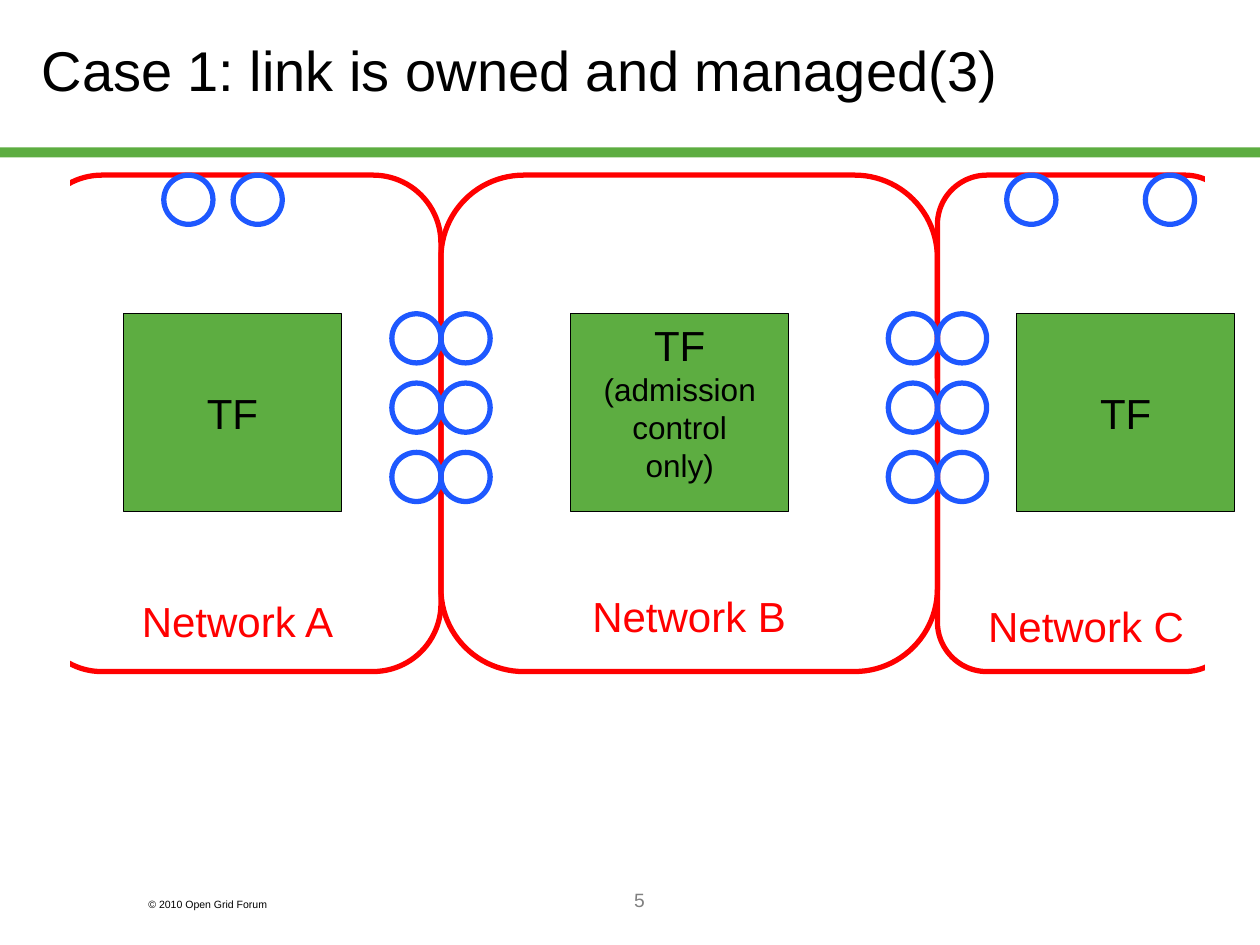
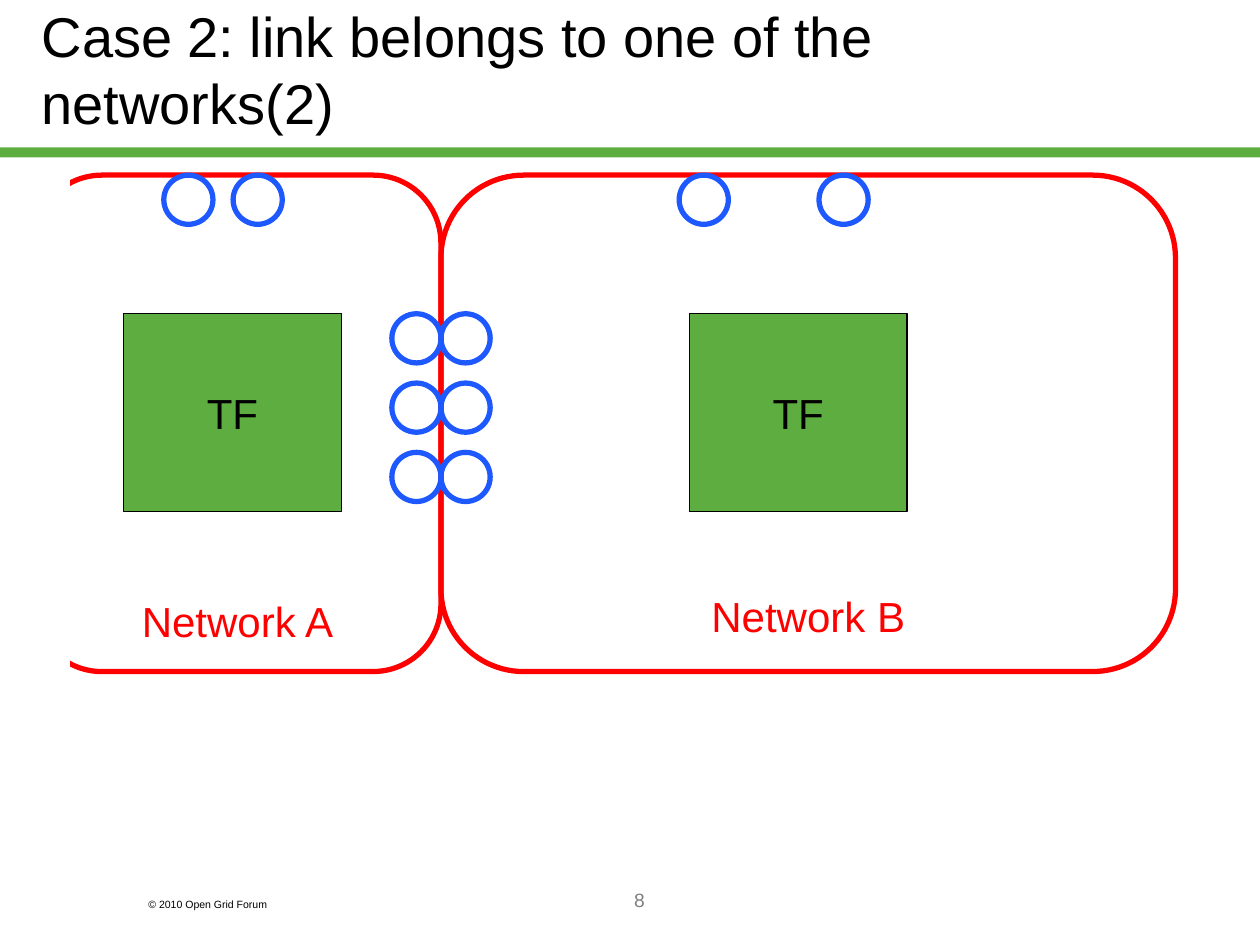
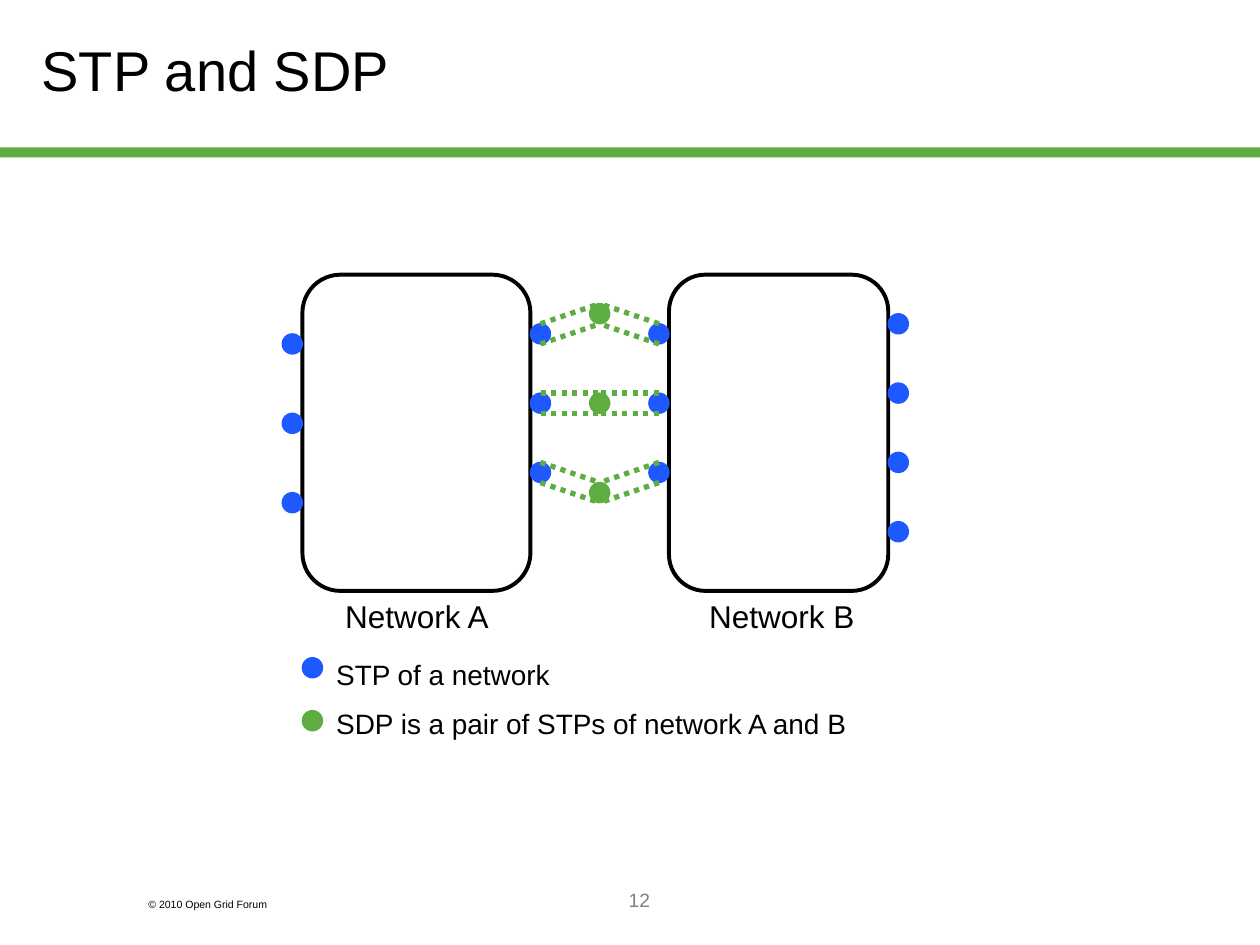
from pptx import Presentation
from pptx import util as u
from pptx.dml.color import RGBColor
from pptx.enum import dml, shapes, text
from pptx.oxml.ns import qn
from lxml import etree

COLORS = {
    "ink": "000000",
    "paper": "FFFFFF",
    "green": "5DAD41",
    "blue": "1E58FF",
    "red": "FF0000",
    "gray": "808080",
}
FONT = "Arial"
TITLE_AREA = (0.23, 0, 8.5, 1.09)

NETWORK_TOP, NETWORK_HEIGHT = 1.39, 3.94
PORT = 0.39
PORT_TOP, PORT_STEP = 2.49, 0.55
TF_TOP, TF_WIDTH, TF_HEIGHT = 2.49, 1.73, 1.57

DOT = 0.16
STP_A, SDP, STP_B = 4.21, 4.68, 5.15


def color(name):
    return RGBColor.from_string(COLORS[name])


def inches(*lengths):
    return [u.Inches(length) for length in lengths]


def style(paragraph, size, ink="ink", align=text.PP_ALIGN.LEFT):
    paragraph.alignment = align
    paragraph.font.size = u.Pt(size)
    paragraph.font.name = FONT
    paragraph.font.color.rgb = color(ink)


def write(frame, lines, ink="ink", align=text.PP_ALIGN.CENTER, anchor=text.MSO_ANCHOR.MIDDLE):
    frame.word_wrap = True
    frame.vertical_anchor = anchor
    for index, (words, size) in enumerate(lines):
        paragraph = frame.add_paragraph() if index else frame.paragraphs[0]
        paragraph.text = words
        style(paragraph, size, ink, align)


def add_label(slide, area, words, size, ink="ink", align=text.PP_ALIGN.LEFT, wrap=False):
    label = slide.shapes.add_textbox(*inches(*area))
    write(label.text_frame, [(words, size)], ink, align, text.MSO_ANCHOR.TOP)
    label.text_frame.word_wrap = wrap
    return label


def add_figure(slide, kind, area, fill=None, line=None, width=0.75):
    figure = slide.shapes.add_shape(kind, *inches(*area))
    figure.shadow.inherit = False
    if fill:
        figure.fill.solid()
        figure.fill.fore_color.rgb = color(fill)
    else:
        figure.fill.background()
    if line:
        figure.line.color.rgb = color(line)
        figure.line.width = u.Pt(width)
    else:
        figure.line.fill.background()
    return figure


def add_network(slide, name, left, width):
    network = add_figure(slide, shapes.MSO_SHAPE.ROUNDED_RECTANGLE,
                         (left, NETWORK_TOP, width, NETWORK_HEIGHT), line="red", width=3)
    write(network.text_frame, [(name, 24)], "red", anchor=text.MSO_ANCHOR.BOTTOM)


def add_open_edge(slide, left):
    add_figure(slide, shapes.MSO_SHAPE.RECTANGLE, (left, NETWORK_TOP - 0.08, 0.35, 4.49),
               "paper", "paper")


def add_port(slide, left, top=NETWORK_TOP):
    add_figure(slide, shapes.MSO_SHAPE.OVAL, (left, top, PORT, PORT), line="blue", width=3)


def add_border_ports(slide, border):
    for left in (border, border - PORT):
        for row in range(3):
            add_port(slide, left, PORT_TOP + row * PORT_STEP)


def add_tf(slide, left, remarks=()):
    tf = add_figure(slide, shapes.MSO_SHAPE.RECTANGLE, (left, TF_TOP, TF_WIDTH, TF_HEIGHT),
                    "green", "ink")
    anchor = text.MSO_ANCHOR.TOP if remarks else text.MSO_ANCHOR.MIDDLE
    write(tf.text_frame, [("TF", 24)] + [(remark, 18) for remark in remarks], anchor=anchor)


def add_dot(slide, left, top, fill):
    add_figure(slide, shapes.MSO_SHAPE.OVAL, (left, top, DOT, DOT), fill, fill)


def add_dotted_line(slide, start, end):
    dotted = slide.shapes.add_connector(shapes.MSO_CONNECTOR.STRAIGHT, *inches(*start, *end))
    dotted.line.color.rgb = color("green")
    dotted.line.width = u.Pt(3)
    dotted.line.dash_style = dml.MSO_LINE.ROUND_DOT
    etree.SubElement(dotted.element.spPr, qn("a:effectLst"))


def add_stp_pair(slide, stp_top, sdp_top):
    add_dot(slide, SDP, sdp_top, "green")
    for left in (STP_A, STP_B):
        add_dot(slide, left, stp_top, "blue")
    middle = SDP + DOT / 2
    for edge in (0, DOT):
        for left in (STP_A, STP_B):
            add_dotted_line(slide, (left + DOT / 2, stp_top + edge), (middle, sdp_top + edge))


def furnish_layout(layout, slide):
    band = add_figure(slide, shapes.MSO_SHAPE.RECTANGLE, (0, 1.17, 10, 0.08), "green")
    copyright_line = add_label(slide, (1.08, 7.08, 1.5, 0.2), "© 2010 Open Grid Forum", 6, wrap=True)
    for part in (band, copyright_line):
        layout.shapes.element.append(part.element)


def start_slide(deck, title, number):
    layout = deck.slide_layouts.get_by_name("Title Only")
    slide = deck.slides.add_slide(layout)
    if len(deck.slides) == 1:
        furnish_layout(layout, slide)
    heading = slide.shapes.title
    heading.left, heading.top, heading.width, heading.height = inches(*TITLE_AREA)
    write(heading.text_frame, [(title, 32)], align=text.PP_ALIGN.LEFT)
    heading.text_frame.auto_size = text.MSO_AUTO_SIZE.NONE
    add_label(slide, (2.16, 7, 5.83, 0.5), number, 11, "gray", text.PP_ALIGN.CENTER, wrap=True)
    return slide


def build_networks(slide, networks, open_edges, borders, tfs, top_ports):
    for name, left, width in networks:
        add_network(slide, name, left, width)
    for left in open_edges:
        add_open_edge(slide, left)
    for border in borders:
        add_border_ports(slide, border)
    for left, remarks in tfs:
        add_tf(slide, left, remarks)
    for left in top_ports:
        add_port(slide, left)


def build_stp_and_sdp(slide):
    for name, left, width, name_left in (("Network B", 5.31, 1.74, 5.53),
                                         ("Network A", 2.4, 1.81, 2.64)):
        add_figure(slide, shapes.MSO_SHAPE.ROUNDED_RECTANGLE, (left, 2.18, width, 2.51),
                   line="ink", width=2.25)
        add_label(slide, (name_left, 4.69, 1.35, 0.4), name, 18)
    for left, top, step, count in ((2.24, 2.65, 0.63, 3), (7.05, 2.49, 0.55, 4)):
        for row in range(count):
            add_dot(slide, left, top + row * step, "blue")
    for row in range(3):
        add_stp_pair(slide, 2.57 + row * 0.55, 2.41 + row * 0.71)
    for fill, dot_top, words, top, width in (
            ("blue", 5.22, "STP of a network", 5.17, 1.9),
            ("green", 5.64, "SDP is a pair of STPs of network A and B", 5.56, 4.28)):
        add_dot(slide, 2.4, dot_top, fill)
        add_label(slide, (2.57, top, width, 0.37), words, 16)


def main():
    deck = Presentation()
    deck.slide_width, deck.slide_height = inches(10, 7.5)

    managed = start_slide(deck, "Case 1: link is owned and managed(3)", "5")
    build_networks(
        managed,
        networks=[("Network B", 3.5, 3.94), ("Network A", 0.27, 3.23), ("Network C", 7.44, 2.36)],
        open_edges=[9.57, 0.2],
        borders=[3.5, 7.44],
        tfs=[(4.53, ["(admission", "control", "only)"]), (0.98, []), (8.07, [])],
        top_ports=[7.99, 9.09, 1.3, 1.85])

    belongs = start_slide(deck, "Case 2: link belongs to one of the networks(2)", "8")
    build_networks(
        belongs,
        networks=[("Network B", 3.5, 5.83), ("Network A", 0.27, 3.23)],
        open_edges=[0.2],
        borders=[3.5],
        tfs=[(5.47, []), (0.98, [])],
        top_ports=[5.39, 6.5, 1.3, 1.85])

    build_stp_and_sdp(start_slide(deck, "STP and SDP", "12"))
    deck.save("out.pptx")


if __name__ == "__main__":
    main()
